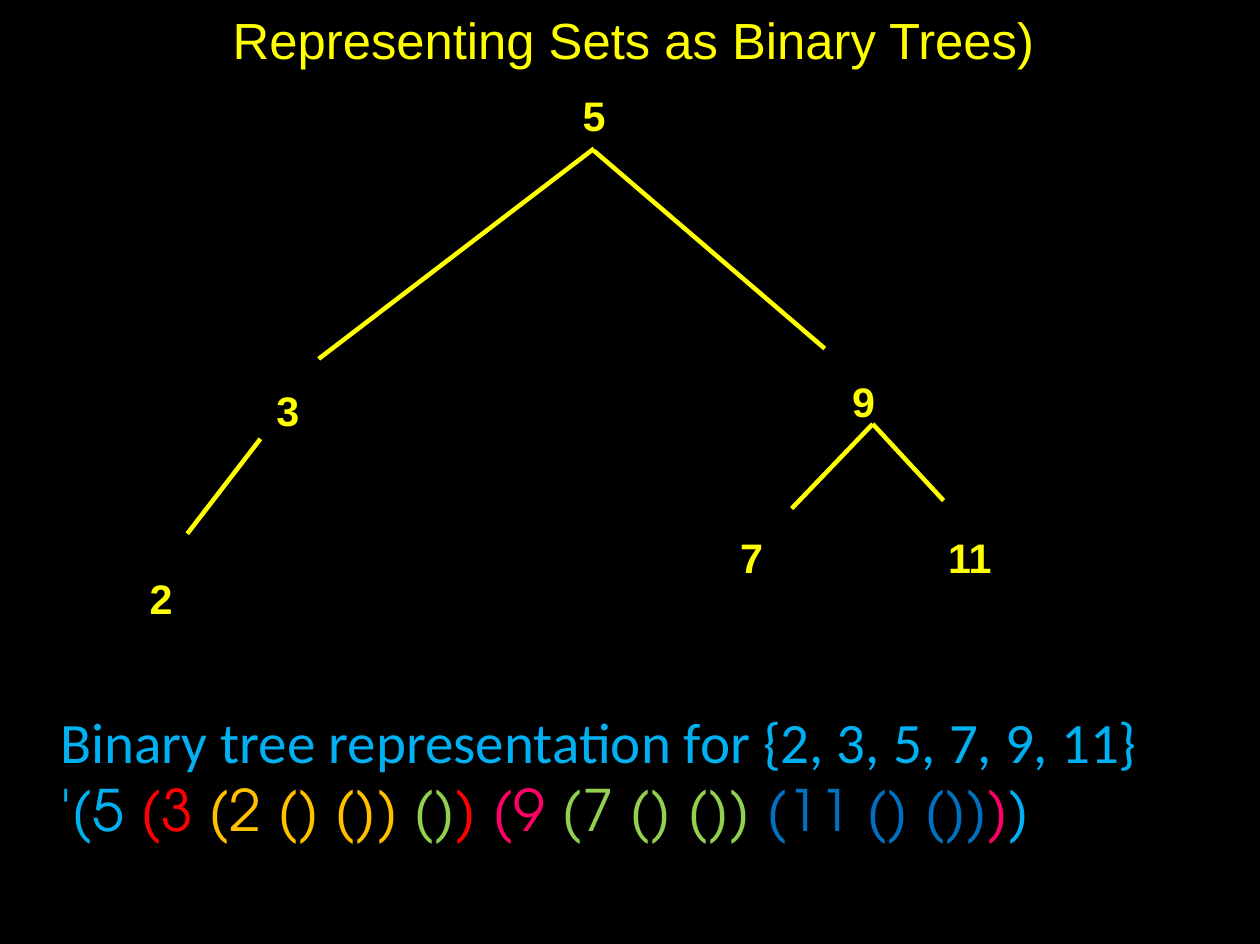
from lxml.etree import SubElement as Sub
from pptx import Presentation as Deck
from pptx.dml.color import RGBColor as Rgb
from pptx.enum.shapes import MSO_CONNECTOR as Link
from pptx.enum.text import MSO_ANCHOR as Anchor, PP_ALIGN as Align
from pptx.oxml.ns import qn
from pptx.util import Inches, Pt

YELLOW, SKY, RED, GOLD = "FFFF00", "00B0F0", "FF0000", "FFC000"
GREEN, PINK, BLUE = "92D050", "FF0066", "0070C0"

NODES = [("5", 5.2, 0.78), ("3", 2.52, 3.36), ("9", 7.56, 3.28),
         ("2", 1.41, 5.01), ("7", 6.58, 4.65), ("11", 8.49, 4.65)]
EDGES = [(5.2, 1.3, 2.79, 3.14), (5.2, 1.32, 7.22, 3.05),
         (2.28, 3.84, 1.64, 4.67), (7.64, 3.71, 6.93, 4.45),
         (7.64, 3.71, 8.26, 4.38)]
CODE = [("'(5 ", SKY), ("(3 ", RED), ("(2 () ()) ", GOLD), ("()", GREEN),
        (") ", RED), ("(9 ", PINK), ("(7 () ()) ", GREEN),
        ("(11 () ())", BLUE), (")", PINK), (")", SKY)]


def tint(code):
    """Turn a hex string into a colour."""
    return Rgb.from_string(code)


def write(para, text, font="Arial", size=26, color=YELLOW, bold=False):
    """Add a formatted run to a paragraph."""
    run = para.add_run()
    run.text = text
    run.font.name, run.font.size, run.font.bold = font, Pt(size), bold
    run.font.color.rgb = tint(color)


class Board:
    """Hold the slide and the style of the tree."""

    def __init__(self, deck):
        """Add a black slide with a title."""
        self.slide = deck.slides.add_slide(deck.slide_layouts[5])
        self.shapes = self.slide.shapes
        fill = self.slide.background.fill
        fill.solid()
        fill.fore_color.rgb = tint("000000")

    def place(self, shape, left, top, width, height):
        """Set a shape's place and return its first paragraph, centred."""
        shape.left, shape.top = Inches(left), Inches(top)
        shape.width, shape.height = Inches(width), Inches(height)
        frame = shape.text_frame
        frame.word_wrap, frame.vertical_anchor = True, Anchor.TOP
        frame.margin_left = frame.margin_right = 0
        frame.margin_top = frame.margin_bottom = Inches(0.01)
        para = frame.paragraphs[0]
        para.alignment = Align.CENTER
        return para

    def title(self, text):
        """Fill the title placeholder."""
        para = self.place(self.shapes.title, 0.26, 0.07, 10.58, 0.6)
        write(para, text, size=32)

    def node(self, text, mid, top):
        """Draw a tree node centred on a given point."""
        box = self.shapes.add_textbox(0, 0, 0, 0)
        write(self.place(box, mid - 0.3, top, 0.6, 0.46), text, bold=True)

    def edge(self, *ends):
        """Draw a line between two points."""
        line = self.shapes.add_connector(Link.STRAIGHT, *map(Inches, ends))
        line.line.color.rgb = tint(YELLOW)
        line.line.width = Pt(2.83)
        Sub(line._element.spPr, qn("a:effectLst"))

    def legend(self, text, code):
        """Write a heading with coloured code below it."""
        box = self.shapes.add_textbox(
            Inches(0.43), Inches(6.13), Inches(9.72), Inches(1.31))
        frame = box.text_frame
        write(frame.paragraphs[0], text, font="Calibri", size=36, color=SKY)
        para = frame.add_paragraph()
        for part, color in code:
            write(para, part, font="TeX Gyre Adventor", size=36, color=color)


def main():
    """Build and save the slide."""
    deck = Deck()
    deck.slide_width, deck.slide_height = Inches(11.03), Inches(8.26)
    board = Board(deck)
    board.title("Representing Sets as Binary Trees)")
    for edge in EDGES:
        board.edge(*edge)
    for node in NODES:
        board.node(*node)
    board.legend("Binary tree representation for {2, 3, 5, 7, 9, 11}", CODE)
    deck.save("out.pptx")


if __name__ == "__main__":
    main()
